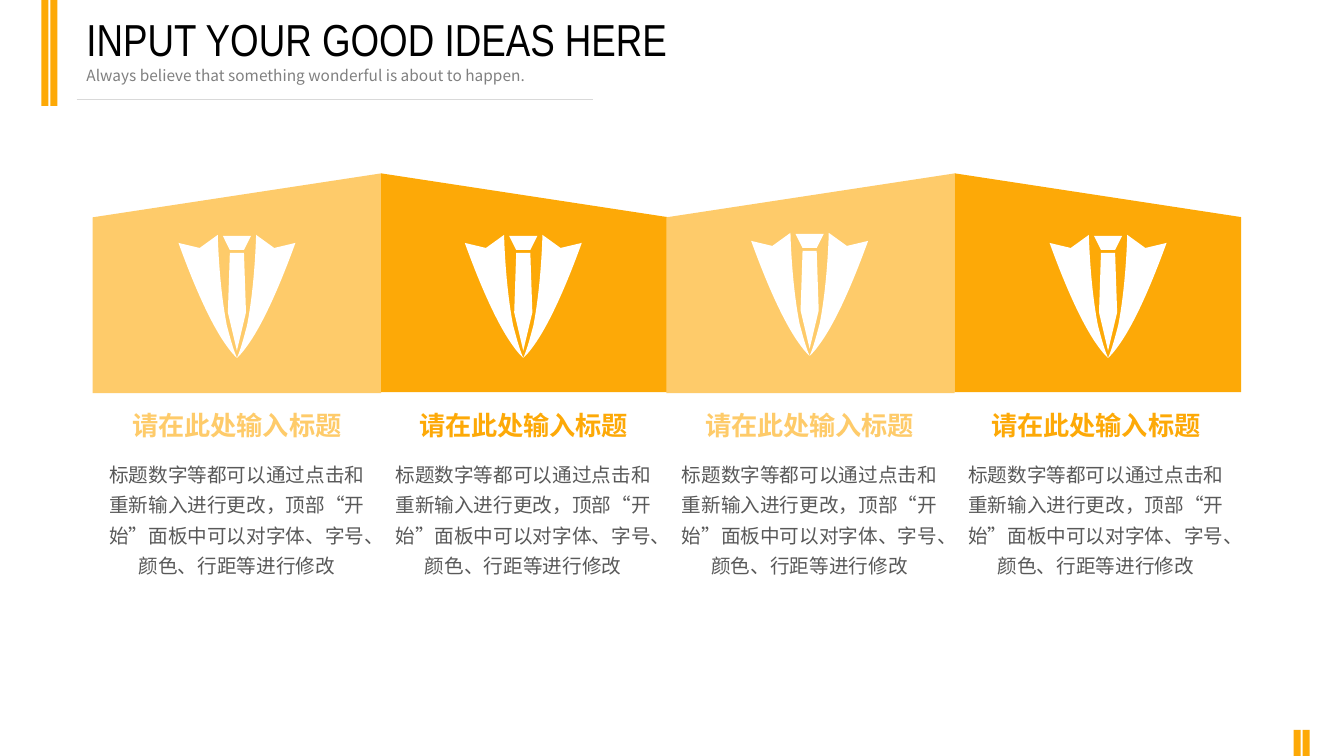
import pptx
import pptx.dml.color
import pptx.enum.shapes
import pptx.enum.text
import pptx.oxml.ns
import pptx.util
from lxml import etree

Inches = pptx.util.Inches
RGBColor = pptx.dml.color.RGBColor
SHAPE = pptx.enum.shapes.MSO_SHAPE
ALIGN = pptx.enum.text.PP_ALIGN

ORANGE = RGBColor(0xFD, 0xA9, 0x07)
PALE_ORANGE = RGBColor(0xFE, 0xCB, 0x6A)
WHITE = RGBColor(0xFF, 0xFF, 0xFF)
BLACK = RGBColor(0, 0, 0)
TEXT_GREY = RGBColor(0x59, 0x59, 0x59)
SUBTITLE_GREY = RGBColor(0x80, 0x80, 0x80)
RULE_GREY = RGBColor(0xD9, 0xD9, 0xD9)
CJK_FONT = "Noto Sans CJK SC"

HEADING = "请在此处输入标题"
DESCRIPTION = (
    "标题数字等都可以通过点击和重新输入进行更改，顶部“开始”面板中可以对字体、字号、"
    "颜色、行距等进行修改"
)
COLUMN_LEFT, COLUMN_STEP, COLUMN_WIDTH = 0.92, 2.84, 2.86
PANELS = [
    (0.92, 2.86, 2.18, PALE_ORANGE, False),
    (3.78, 2.84, 2.17, ORANGE, True),
    (6.61, 2.86, 2.18, PALE_ORANGE, False),
    (9.47, 2.84, 2.17, ORANGE, True),
]
SUITS = [(2.35, 2.33), (5.19, 2.33), (8.03, 2.31), (10.99, 2.33)]

KNOT = [(0.07, 0.15), (0.14, 0.01), (-0.14, 0.01), (-0.07, 0.15)]
TIE = [(-0.09, 0.77), (0, 1.15), (0.09, 0.77), (0.07, 0.18), (-0.07, 0.18)]
LAPEL_CORNERS = [(-0.19, 0), (-0.37, 0.13), (-0.58, 0.08)]
LAPEL_CURVES = [
    (-0.37, 0.66), (-0.21, 0.95), (-0.11, 1.09),
    (-0.04, 1.19), (0, 1.22), (0, 1.22),
    (-0.04, 1.13), (-0.07, 1.01), (-0.1, 0.9),
    (-0.18, 0.49), (-0.19, 0), (-0.19, 0),
]


def paint(shape, color):
    """Give a shape a flat fill with no line or shadow."""
    shape.shadow.inherit = False
    shape.fill.solid()
    shape.fill.fore_color.rgb = color
    shape.line.fill.background()


def add_block(page, preset, left, top, width, height, color):
    """Add a flat preset shape."""
    block = page.shapes.add_shape(
        preset, Inches(left), Inches(top), Inches(width), Inches(height)
    )
    paint(block, color)
    return block


def add_panel(page, left, width, height, color, flipped):
    """Add a slanted panel, mirrored when flipped."""
    panel = add_block(page, SHAPE.FLOWCHART_MANUAL_INPUT, left, 1.72, width, height, color)
    if flipped:
        panel._element.spPr.xfrm.set("flipH", "1")


def add_rule(page, left, right, y):
    """Add the thin rule below the header."""
    rule = page.shapes.add_connector(
        pptx.enum.shapes.MSO_CONNECTOR.STRAIGHT,
        Inches(left), Inches(y), Inches(right), Inches(y),
    )
    rule.line.color.rgb = RULE_GREY
    rule.line.width = pptx.util.Pt(0.75)
    etree.SubElement(rule._element.spPr, pptx.oxml.ns.qn("a:effectLst"))


def add_text(page, text, left, top, width, height, size, font, color,
             align=ALIGN.LEFT, bold=False, spacing=None):
    """Add a wrapped single-paragraph text box."""
    box = page.shapes.add_textbox(Inches(left), Inches(top), Inches(width), Inches(height))
    box.text_frame.word_wrap = True
    box.text_frame.auto_size = pptx.enum.text.MSO_AUTO_SIZE.SHAPE_TO_FIT_TEXT
    para = box.text_frame.paragraphs[0]
    para.text = text
    para.alignment = align
    if spacing:
        para.line_spacing = spacing
    para.font.size = pptx.util.Pt(size)
    para.font.name = font
    para.font.bold = bold
    para.font.color.rgb = color


def bend(shape, corner_count):
    """Turn the segments after the corners into cubic curves, three points each."""
    qn = pptx.oxml.ns.qn
    outline = shape._element.find(".//" + qn("a:path"))
    segments = outline.findall(qn("a:lnTo"))[corner_count - 1:]
    for start in range(0, len(segments), 3):
        curve = etree.Element(qn("a:cubicBezTo"))
        segments[start].addprevious(curve)
        for segment in segments[start:start + 3]:
            curve.append(segment[0])
            outline.remove(segment)


def add_piece(icon, center, top, corners, curves=()):
    """Add one white piece of the suit, with optional curved edges."""
    points = [(Inches(center + x), Inches(top + y)) for x, y in (*corners, *curves)]
    builder = icon.shapes.build_freeform(*points[0])
    builder.add_line_segments(points[1:], close=True)
    piece = builder.convert_to_shape()
    paint(piece, WHITE)
    if curves:
        bend(piece, len(corners))


def mirror(points):
    """Reflect points across the middle of the suit."""
    return [(-x, y) for x, y in points]


def add_suit(page, center, top):
    """Add a grouped suit icon made of knot, tie and two lapels."""
    icon = page.shapes.add_group_shape()
    add_piece(icon, center, top, KNOT)
    add_piece(icon, center, top, TIE)
    add_piece(icon, center, top, LAPEL_CORNERS, LAPEL_CURVES)
    add_piece(icon, center, top, mirror(LAPEL_CORNERS), mirror(LAPEL_CURVES))


def main():
    """Build and save the slide."""
    deck = pptx.Presentation()
    deck.slide_width, deck.slide_height = Inches(13.33), Inches(7.5)
    page = deck.slides.add_slide(deck.slide_layouts[6])

    for left, top, height in ((0.41, 0, 1.05), (12.83, 7.24, 0.26)):
        for offset in (0, 0.09):
            add_block(page, SHAPE.RECTANGLE, left + offset, top, 0.07, height, ORANGE)
    add_rule(page, 0.76, 5.88, 0.99)
    for panel in PANELS:
        add_panel(page, *panel)
    for column, panel in enumerate(PANELS):
        left = COLUMN_LEFT + column * COLUMN_STEP
        add_text(page, HEADING, left, 4.01, COLUMN_WIDTH, 0.42, 18.67, CJK_FONT,
                 panel[3], ALIGN.CENTER, bold=True)
        add_text(page, DESCRIPTION, left, 4.47, COLUMN_WIDTH, 1.3, 14, "Arial",
                 TEXT_GREY, ALIGN.CENTER, spacing=1.3)
    add_text(page, "Always believe that something wonderful is about to happen.",
             0.76, 0.61, 7.06, 0.29, 11, CJK_FONT, SUBTITLE_GREY)
    add_text(page, "INPUT YOUR GOOD IDEAS HERE",
             0.76, 0.07, 8.67, 0.64, 32, "Arial Narrow", BLACK)
    for suit in SUITS:
        add_suit(page, *suit)

    deck.save("out.pptx")


if __name__ == "__main__":
    main()
